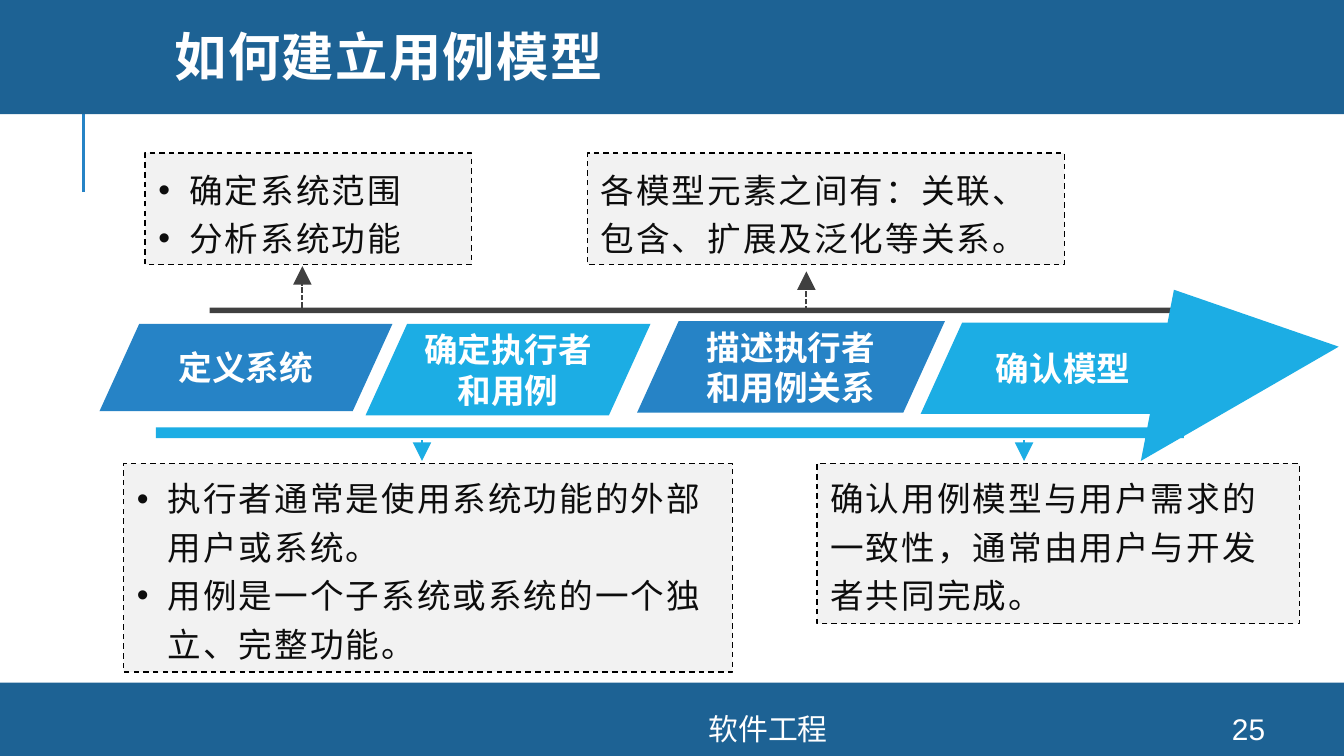
from dataclasses import dataclass
from typing import Optional

from lxml.etree import SubElement
from pptx import Presentation
from pptx.dml.color import RGBColor
from pptx.enum.dml import MSO_LINE
from pptx.enum.shapes import MSO_CONNECTOR, MSO_SHAPE
from pptx.enum.text import MSO_ANCHOR, MSO_AUTO_SIZE, PP_ALIGN
from pptx.oxml.ns import qn
from pptx.util import Inches, Pt

WHITE = RGBColor(0xFF, 0xFF, 0xFF)
BLACK = RGBColor(0x00, 0x00, 0x00)
INK = RGBColor(0x0D, 0x0D, 0x0D)
CHARCOAL = RGBColor(0x40, 0x40, 0x40)
PALE = RGBColor(0xF2, 0xF2, 0xF2)
NAVY = RGBColor(0x1D, 0x62, 0x94)
BLUE = RGBColor(0x26, 0x83, 0xC6)
SKY = RGBColor(0x1C, 0xAD, 0xE4)


@dataclass
class Area:
    left: float
    top: float
    width: float
    height: float

    def lengths(self) -> tuple:
        """Return the four sides as lengths."""
        return tuple(Inches(side) for side in (self.left, self.top, self.width, self.height))


@dataclass
class Step:
    area: Area
    text: str
    color: RGBColor


@dataclass
class Note:
    area: Area
    lines: tuple
    bullets: bool = False
    anchor: MSO_ANCHOR = MSO_ANCHOR.TOP


@dataclass
class Arrow:
    x: float
    base: float
    tip: float
    color: RGBColor


BANDS = [(Area(0, 5.08, 10, 0.55), NAVY), (Area(0, -0.03, 10, 0.88), NAVY)]
RAILS = [(Area(1.56, 2.29, 7.43, 0.04), CHARCOAL), (Area(1.16, 3.18, 7.65, 0.08), SKY)]
STEPS = [
    Step(Area(0.74, 2.41, 2.18, 0.65), "定义系统", BLUE),
    Step(Area(2.72, 2.41, 2.12, 0.68), "确定执行者和用例", SKY),
    Step(Area(4.74, 2.39, 2.29, 0.68), "描述执行者和用例关系", BLUE),
]
FINAL_STEP = Step(Area(6.85, 2.4, 2.12, 0.68), "确认模型", SKY)
ARROWS = [
    Arrow(2.25, 2.29, 1.98, CHARCOAL),
    Arrow(6, 2.32, 2.02, CHARCOAL),
    Arrow(3.14, 3.22, 3.43, SKY),
    Arrow(7.62, 3.22, 3.43, SKY),
]
NOTES = [
    Note(Area(4.37, 1.14, 3.55, 0.83), ("各模型元素之间有：关联、包含、扩展及泛化等关系。",),
         anchor=MSO_ANCHOR.BOTTOM),
    Note(Area(1.08, 1.14, 2.43, 0.83), ("确定系统范围", "分析系统功能"),
         bullets=True, anchor=MSO_ANCHOR.BOTTOM),
    Note(Area(0.92, 3.45, 4.53, 1.55),
         ("执行者通常是使用系统功能的外部用户或系统。",
          "用例是一个子系统或系统的一个独立、完整功能。"), bullets=True),
    Note(Area(6.08, 3.45, 3.59, 1.19), ("确认用例模型与用户需求的一致性，通常由用户与开发者共同完成。",)),
]


def write(box, *lines: str, size: float = 18, color: RGBColor = WHITE, bold: bool = False,
          font: str = "Arial", align: PP_ALIGN = PP_ALIGN.CENTER,
          anchor: MSO_ANCHOR = MSO_ANCHOR.MIDDLE, line_spacing: Optional[float] = None,
          tracking: float = 0, bullets: bool = False) -> None:
    """Write each line as a paragraph of the box."""
    frame = box.text_frame
    frame.word_wrap = True
    frame.vertical_anchor = anchor
    for index, line in enumerate(lines):
        para = frame.add_paragraph() if index else frame.paragraphs[0]
        para.alignment = align
        if line_spacing:
            para.line_spacing = line_spacing
        if bullets:
            properties = para._p.get_or_add_pPr()
            properties.set("marL", str(Inches(0.23)))
            properties.set("indent", str(Inches(-0.23)))
            SubElement(properties, qn("a:buFont"), typeface="Arial")
            SubElement(properties, qn("a:buChar"), char="•")
        span = para.add_run()
        span.text = line
        span.font.size = Pt(size)
        span.font.name = font
        span.font.bold = bold
        span.font.color.rgb = color
        if tracking:
            span._r.get_or_add_rPr().set("spc", str(round(tracking * 100)))


def add_block(shapes, kind: MSO_SHAPE, area: Area, color: RGBColor):
    """Add a plain filled shape without outline or shadow."""
    block = shapes.add_shape(kind, *area.lengths())
    block.shadow.inherit = False
    block.fill.solid()
    block.fill.fore_color.rgb = color
    block.line.fill.background()
    return block


def add_label(page, area: Area, text: str, **text_format) -> None:
    """Add a text box with one formatted line."""
    write(page.shapes.add_textbox(*area.lengths()), text, **text_format)


def add_line(page, start: tuple, end: tuple, color: RGBColor, width: float):
    """Add a straight line without shadow."""
    line = page.shapes.add_connector(
        MSO_CONNECTOR.STRAIGHT, *(Inches(value) for value in start + end))
    line.line.color.rgb = color
    line.line.width = Pt(width)
    SubElement(line._element.spPr, qn("a:effectLst"))
    return line


def add_step(shapes, step: Step) -> None:
    """Add one slanted process step."""
    box = add_block(shapes, MSO_SHAPE.PARALLELOGRAM, step.area, step.color)
    box.adjustments[0] = 0.455
    write(box, step.text, bold=True)


def add_arrow(page, arrow: Arrow) -> None:
    """Add a dashed vertical arrow from its base to its tip."""
    line = add_line(page, (arrow.x, arrow.base), (arrow.x, arrow.tip), arrow.color, 1)
    line.line.dash_style = MSO_LINE.SQUARE_DOT
    SubElement(line.line._get_or_add_ln(), qn("a:tailEnd"), type="triangle", w="lg", len="lg")


def add_note(page, note: Note) -> None:
    """Add a dashed explanation box."""
    box = add_block(page.shapes, MSO_SHAPE.RECTANGLE, note.area, PALE)
    box.line.color.rgb = BLACK
    box.line.width = Pt(0.75)
    box.line.dash_style = MSO_LINE.DASH
    write(box, *note.lines, color=INK, align=PP_ALIGN.LEFT, anchor=note.anchor,
          line_spacing=1.2, tracking=1.1, bullets=note.bullets)
    box.text_frame.auto_size = MSO_AUTO_SIZE.SHAPE_TO_FIT_TEXT


def main() -> None:
    """Build the slide and save the deck."""
    deck = Presentation()
    deck.slide_width = Inches(10)
    deck.slide_height = deck.slide_width * 9 // 16
    page = deck.slides.add_slide(deck.slide_layouts[6])

    add_line(page, (0.62, 1.43), (0.62, 0.68), BLUE, 1.5)
    for area, color in BANDS:
        add_block(page.shapes, MSO_SHAPE.RECTANGLE, area, color)
    add_label(page, Area(1.2, 0, 8.49, 0.91), "如何建立用例模型", size=28, bold=True,
              font="Montserrat", align=PP_ALIGN.LEFT, line_spacing=0.8, tracking=0.8)
    add_label(page, Area(2.61, 5.31, 6.21, 0.23), "软件工程", size=16)
    add_label(page, Area(8.89, 5.31, 0.8, 0.23), "25", size=16)

    for area, color in RAILS:
        add_block(page.shapes, MSO_SHAPE.RECTANGLE, area, color)
    for step in STEPS:
        add_step(page.shapes, step)
    final_arrow = page.shapes.add_group_shape()
    add_step(final_arrow.shapes, FINAL_STEP)
    head = add_block(final_arrow.shapes, MSO_SHAPE.ISOSCELES_TRIANGLE,
                     Area(8.13, 2.09, 1.7, 0.98), SKY)
    head.rotation = 330

    for arrow in ARROWS:
        add_arrow(page, arrow)
    for note in NOTES:
        add_note(page, note)
    deck.save("out.pptx")


if __name__ == "__main__":
    main()
